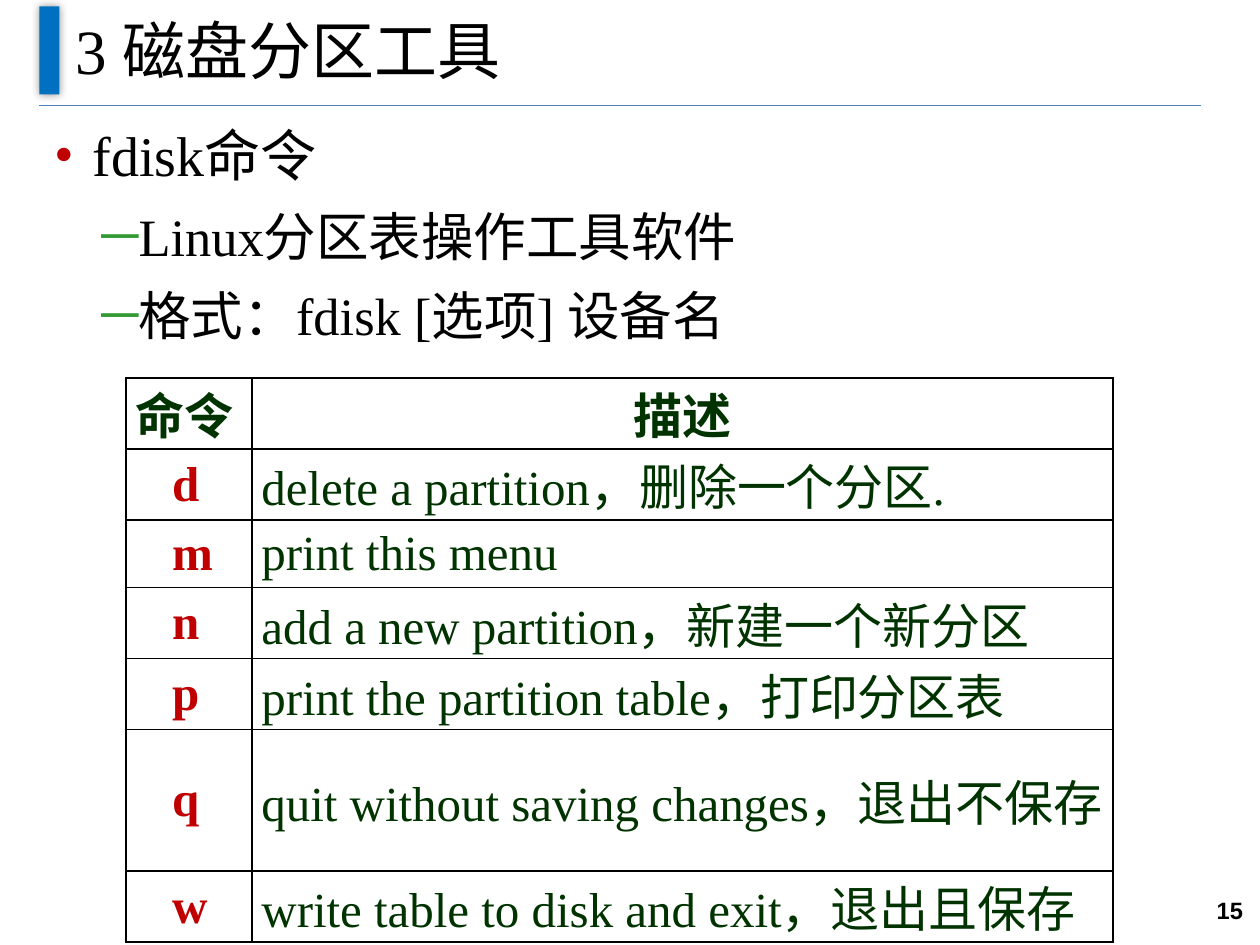
from dataclasses import dataclass

from lxml.etree import SubElement
from pptx import Presentation
from pptx.dml.color import RGBColor
from pptx.enum.shapes import MSO_CONNECTOR, MSO_SHAPE
from pptx.enum.text import MSO_ANCHOR as Anchor, PP_ALIGN as Align
from pptx.oxml.ns import qn
from pptx.util import Pt

COLORS = {
    "black": "000000", "white": "FFFFFF", "rule": "4B7EBC", "bar": "0070C0",
    "red": "C00000", "bullet_green": "339933", "table_green": "003300",
}
SERIF = "Times New Roman"
KEY_INDENT = 21
LINE_HEIGHT = 40.55
LATIN_ROW_HEIGHT = 38.6


@dataclass(frozen=True)
class Level:
    size: float
    left: float
    indent: float
    bullet: str
    bullet_color: str


@dataclass(frozen=True)
class Point:
    text: str
    level: int


@dataclass(frozen=True)
class Command:
    key: str
    description: str
    height: float = LINE_HEIGHT


LEVELS = [Level(32, 21.6, -21.6, "•", "red"),
          Level(30, 47.5, -20.9, "─", "bullet_green")]
POINTS = [Point("fdisk命令", 0),
          Point("Linux分区表操作工具软件", 1),
          Point("格式：fdisk [选项] 设备名", 1)]
HEADER = Command("命令", "描述")
COMMANDS = [
    Command("d", "delete a partition，删除一个分区."),
    Command("m", "print this menu", LATIN_ROW_HEIGHT),
    Command("n", "add a new partition，新建一个新分区"),
    Command("p", "print the partition table，打印分区表"),
    Command("q", "quit without saving changes，退出不保存", 2 * LINE_HEIGHT),
    Command("w", "write table to disk and exit，退出且保存"),
]


def rgb(name: str) -> RGBColor:
    return RGBColor.from_string(COLORS[name])


def apply(target, values: dict) -> None:
    for name, value in values.items():
        setattr(target, name, value)


def write(paragraph, text: str, size: float, color="black", bold=False,
          align=Align.JUSTIFY, font=SERIF) -> None:
    paragraph.alignment = align
    run = paragraph.add_run()
    run.text = text
    apply(run.font, {"name": font, "size": Pt(size), "bold": bold})
    run.font.color.rgb = rgb(color)


def add_solid(parent, color: str) -> None:
    fill = SubElement(parent, qn("a:solidFill"))
    SubElement(fill, qn("a:srgbClr"), val=COLORS[color])


def add_heading(slide) -> None:
    rule = slide.shapes.add_connector(
        MSO_CONNECTOR.STRAIGHT, Pt(22.3), Pt(60.2), Pt(686.2), Pt(60.2))
    rule.line.color.rgb = rgb("rule")
    rule.line.width = Pt(0.75)
    SubElement(rule._element.spPr, qn("a:effectLst"))

    bar = slide.shapes.add_shape(
        MSO_SHAPE.RECTANGLE, Pt(22.5), Pt(3.6), Pt(11.5), Pt(50.4))
    bar.shadow.inherit = False
    bar.fill.solid()
    bar.fill.fore_color.rgb = rgb("bar")
    bar.line.fill.background()
    effects = bar._element.spPr.find(qn("a:effectLst"))
    shadow = SubElement(effects, qn("a:outerShdw"), blurRad=str(Pt(5)), dist="0")
    tint = SubElement(shadow, qn("a:srgbClr"), val=COLORS["black"])
    SubElement(tint, qn("a:alpha"), val="40000")

    title = slide.shapes.title
    apply(title, {"left": Pt(36), "top": Pt(-2.2),
                  "width": Pt(648), "height": Pt(60.5)})
    title.text_frame.vertical_anchor = Anchor.MIDDLE
    write(title.text_frame.paragraphs[0], "3 磁盘分区工具", 36, align=Align.LEFT)


def add_points(slide, points: list[Point]) -> None:
    box = slide.shapes.add_textbox(Pt(24.2), Pt(65.5), Pt(661), Pt(456.5))
    frame = box.text_frame
    frame.word_wrap = True
    for index, point in enumerate(points):
        level = LEVELS[point.level]
        paragraph = frame.add_paragraph() if index else frame.paragraphs[0]
        apply(paragraph, {"level": point.level,
                          "space_before": Pt(4.5 if index else 0),
                          "space_after": Pt(4.5)})
        properties = paragraph._p.get_or_add_pPr()
        properties.set("marL", str(Pt(level.left)))
        properties.set("indent", str(Pt(level.indent)))
        bullet_color = SubElement(properties, qn("a:buClr"))
        SubElement(bullet_color, qn("a:srgbClr"), val=COLORS[level.bullet_color])
        SubElement(properties, qn("a:buFont"), typeface=SERIF)
        SubElement(properties, qn("a:buChar"), char=level.bullet)
        write(paragraph, point.text, level.size)


def format_cell(cell) -> None:
    apply(cell, {"margin_left": Pt(5.4), "margin_right": Pt(5.4), "margin_top": 0,
                 "margin_bottom": 0, "vertical_anchor": Anchor.MIDDLE})
    properties = cell._tc.get_or_add_tcPr()
    for side in ("lnL", "lnR", "lnT", "lnB"):
        add_solid(SubElement(properties, qn(f"a:{side}"), w=str(Pt(1))), "black")
    cell.fill.solid()
    cell.fill.fore_color.rgb = rgb("white")


def add_command_table(slide, commands: list[Command]) -> None:
    rows = [HEADER, *commands]
    height = sum(command.height for command in rows)
    table = slide.shapes.add_table(
        len(rows), 2, Pt(72), Pt(216), Pt(564), Pt(height)).table
    for column, width in zip(table.columns, (72, 492)):
        column.width = Pt(width)
    for index, command in enumerate(rows):
        is_header = index == 0
        table.rows[index].height = Pt(command.height)
        key, description = table.rows[index].cells
        for cell in (key, description):
            format_cell(cell)
        key_paragraph = key.text_frame.paragraphs[0]
        if not is_header:
            key_paragraph._p.get_or_add_pPr().set("marL", str(Pt(KEY_INDENT)))
        write(key_paragraph, command.key, 28, bold=True,
              color="table_green" if is_header else "red")
        write(description.text_frame.paragraphs[0], command.description, 28,
              "table_green", is_header, Align.CENTER if is_header else Align.JUSTIFY)


def add_page_number(slide, number: str) -> None:
    box = slide.shapes.add_textbox(Pt(650.3), Pt(500.4), Pt(67), Pt(39.6))
    apply(box.text_frame, {"word_wrap": True, "vertical_anchor": Anchor.MIDDLE})
    write(box.text_frame.paragraphs[0], number, 13.5, bold=True,
          align=Align.RIGHT, font="Arial")


def main() -> None:
    presentation = Presentation()
    apply(presentation, {"slide_width": Pt(720), "slide_height": Pt(540)})
    slide = presentation.slides.add_slide(presentation.slide_layouts[5])
    add_heading(slide)
    add_points(slide, POINTS)
    add_page_number(slide, "15")
    add_command_table(slide, COMMANDS)
    presentation.save("out.pptx")


if __name__ == "__main__":
    main()
